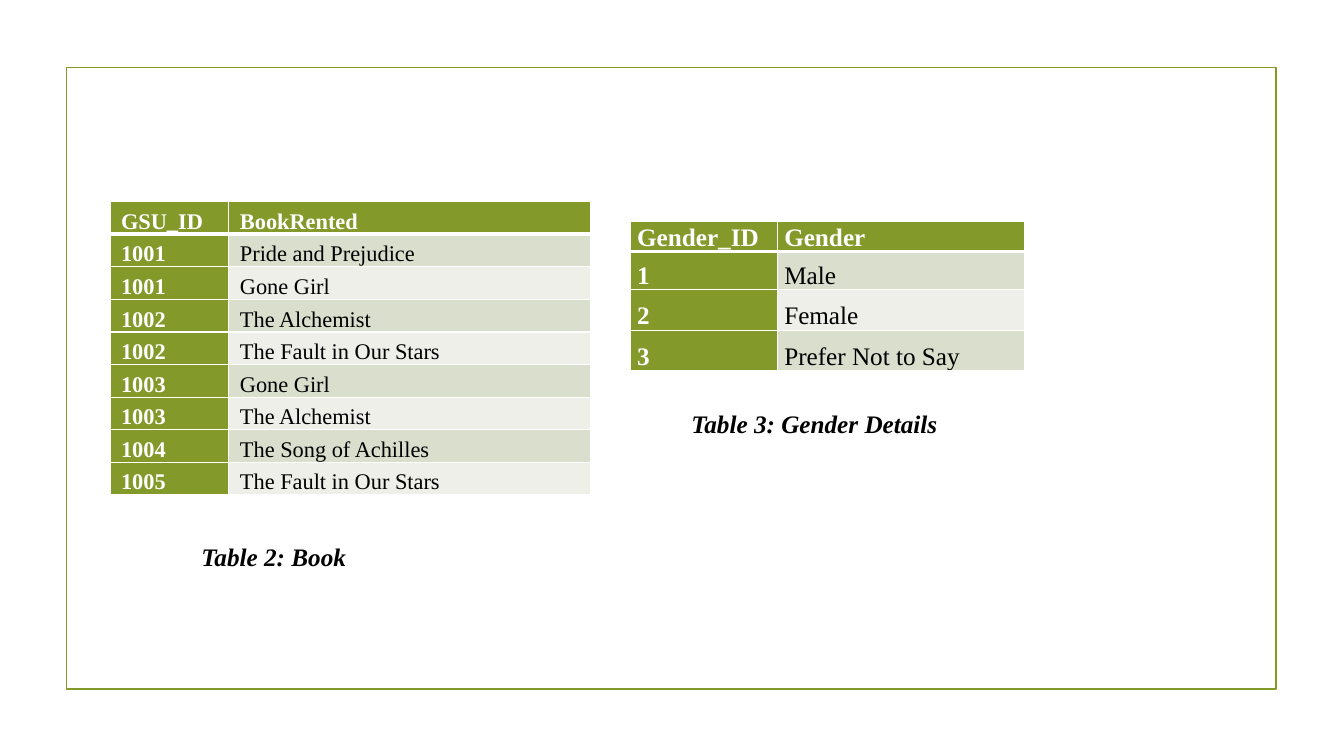
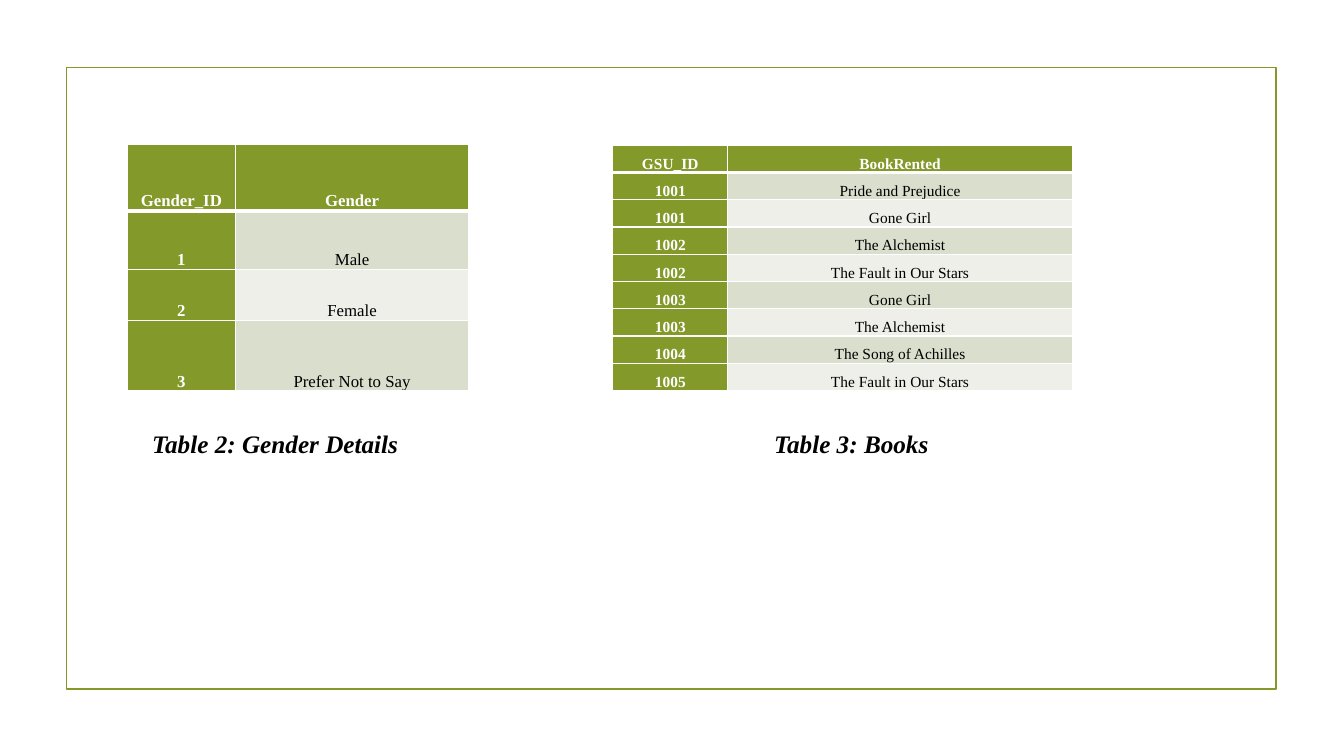
from dataclasses import dataclass

from lxml.etree import SubElement
from pptx import Presentation
from pptx.dml.color import RGBColor
from pptx.enum.shapes import MSO_SHAPE as Shape
from pptx.enum.text import MSO_ANCHOR as Anchor, PP_ALIGN as Align
from pptx.oxml.ns import qn
from pptx.util import Inches, Pt


@dataclass(frozen=True)
class Theme:
    font: str = "Times New Roman"
    green: str = "83992A"
    bands: tuple = ("D9DECD", "EDEFE8")
    white: str = "FFFFFF"
    black: str = "000000"
    caption_size: int = 18
    frame_line: float = 1.25
    grid_line: int = 1
    header_line: int = 3
    line_spacing: float = 1.07


THEME = Theme()
WIDTH, HEIGHT = Inches(13.33), Inches(7.5)

BOOKS = [
    ("GSU_ID", "BookRented"),
    ("1001", "Pride and Prejudice"),
    ("1001", "Gone Girl"),
    ("1002", "The Alchemist"),
    ("1002", "The Fault in Our Stars"),
    ("1003", "Gone Girl"),
    ("1003", "The Alchemist"),
    ("1004", "The Song of Achilles"),
    ("1005", "The Fault in Our Stars"),
]
GENDERS = [
    ("Gender_ID", "Gender"),
    ("1", "Male"),
    ("2", "Female"),
    ("3", "Prefer Not to Say"),
]


def across(percent):
    return round(WIDTH * percent / 100)


def down(percent):
    return round(HEIGHT * percent / 100)


def apply(target, values):
    for name, value in values.items():
        setattr(target, name, value)


def write(para, text, align, size, color, **style):
    para.alignment = align
    span = para.add_run()
    span.text = text
    span.font.color.rgb = RGBColor.from_string(color)
    apply(span.font, {"name": THEME.font, "size": Pt(size), **style})


def add_frame(page):
    frame = page.shapes.add_shape(
        Shape.RECTANGLE, across(4.95), down(8.93), across(90), down(82.27))
    frame.shadow.inherit = False
    frame.fill.background()
    frame.line.color.rgb = RGBColor.from_string(THEME.green)
    frame.line.width = Pt(THEME.frame_line)


def add_borders(cell, row):
    """White lines all round, with a thick one between header and body."""
    thick_side = {0: "lnB", 1: "lnT"}.get(row)
    properties = cell._tc.get_or_add_tcPr()
    for position, side in enumerate(("lnL", "lnR", "lnT", "lnB")):
        width = THEME.header_line if side == thick_side else THEME.grid_line
        border = SubElement(properties, qn(f"a:{side}"), w=str(Pt(width)))
        fill = SubElement(border, qn("a:solidFill"))
        SubElement(fill, qn("a:srgbClr"), val=THEME.white)
        properties.insert(position, border)


def fill_cell(cell, text, row, column, size, align, inset):
    is_heading = row == 0 or column == 0
    back = THEME.green if is_heading else THEME.bands[(row - 1) % 2]
    cell.fill.solid()
    cell.fill.fore_color.rgb = RGBColor.from_string(back)
    apply(cell, {
        "vertical_anchor": Anchor.BOTTOM,
        "margin_left": Inches(inset), "margin_right": Inches(inset),
        "margin_top": 0, "margin_bottom": 0,
    })
    para = cell.text_frame.paragraphs[0]
    para.line_spacing = THEME.line_spacing
    write(para, text, align, size,
          THEME.white if is_heading else THEME.black, bold=is_heading)
    add_borders(cell, row)


def add_data_table(page, records, left, top, widths, heights, size,
                   align, inset=0.07):
    """Place a table; widths and heights are percentages of the slide."""
    table = page.shapes.add_table(
        len(records), len(widths), across(left), down(top),
        across(sum(widths)), down(sum(heights))).table
    for column, width in zip(table.columns, widths):
        column.width = across(width)
    for row, height in zip(table.rows, heights):
        row.height = down(height)
    for row, record in enumerate(records):
        for column, text in enumerate(record):
            fill_cell(table.cell(row, column), text, row, column,
                      size, align, inset)


def add_caption(page, text, left, top, width, align=Align.LEFT):
    box = page.shapes.add_textbox(
        across(left), down(top), across(width), down(5.33))
    box.text_frame.word_wrap = True
    write(box.text_frame.paragraphs[0], text, align, THEME.caption_size,
          THEME.black, bold=True, italic=True)


def add_page(deck):
    page = deck.slides.add_slide(deck.slide_layouts[6])
    add_frame(page)
    return page


def add_large_tables(deck):
    page = add_page(deck)
    add_data_table(page, BOOKS, 8.18, 26.67, (8.85, 26.93),
                   [4.31] * len(BOOKS), 16, Align.JUSTIFY, inset=0.11)
    add_data_table(page, GENDERS, 46.88, 29.33, (10.95, 18.38),
                   (3.95, 5.07, 5.33, 5.33), 18, Align.JUSTIFY)
    add_caption(page, "Table 2: Book", 14.25, 70.93, 32.63)
    add_caption(page, "Table 3: Gender Details", 50.7, 53.33, 24.23)


def add_compact_tables(deck):
    page = add_page(deck)
    add_data_table(page, GENDERS, 9.45, 19.07, (8.1, 17.3),
                   (8.8, 7.73, 6.8, 9.33), 12, Align.CENTER)
    add_caption(page, "Table 2: Gender Details", 10.58, 56, 21.68)
    add_data_table(page, BOOKS, 45.6, 19.2, (8.55, 25.65),
                   [3.61] * len(BOOKS), 11, Align.CENTER)
    add_caption(page, "Table 3: Books", 46.8, 56, 33.08, Align.CENTER)


def main():
    deck = Presentation()
    apply(deck, {"slide_width": WIDTH, "slide_height": HEIGHT})
    add_large_tables(deck)
    add_compact_tables(deck)
    deck.save("out.pptx")


if __name__ == "__main__":
    main()
